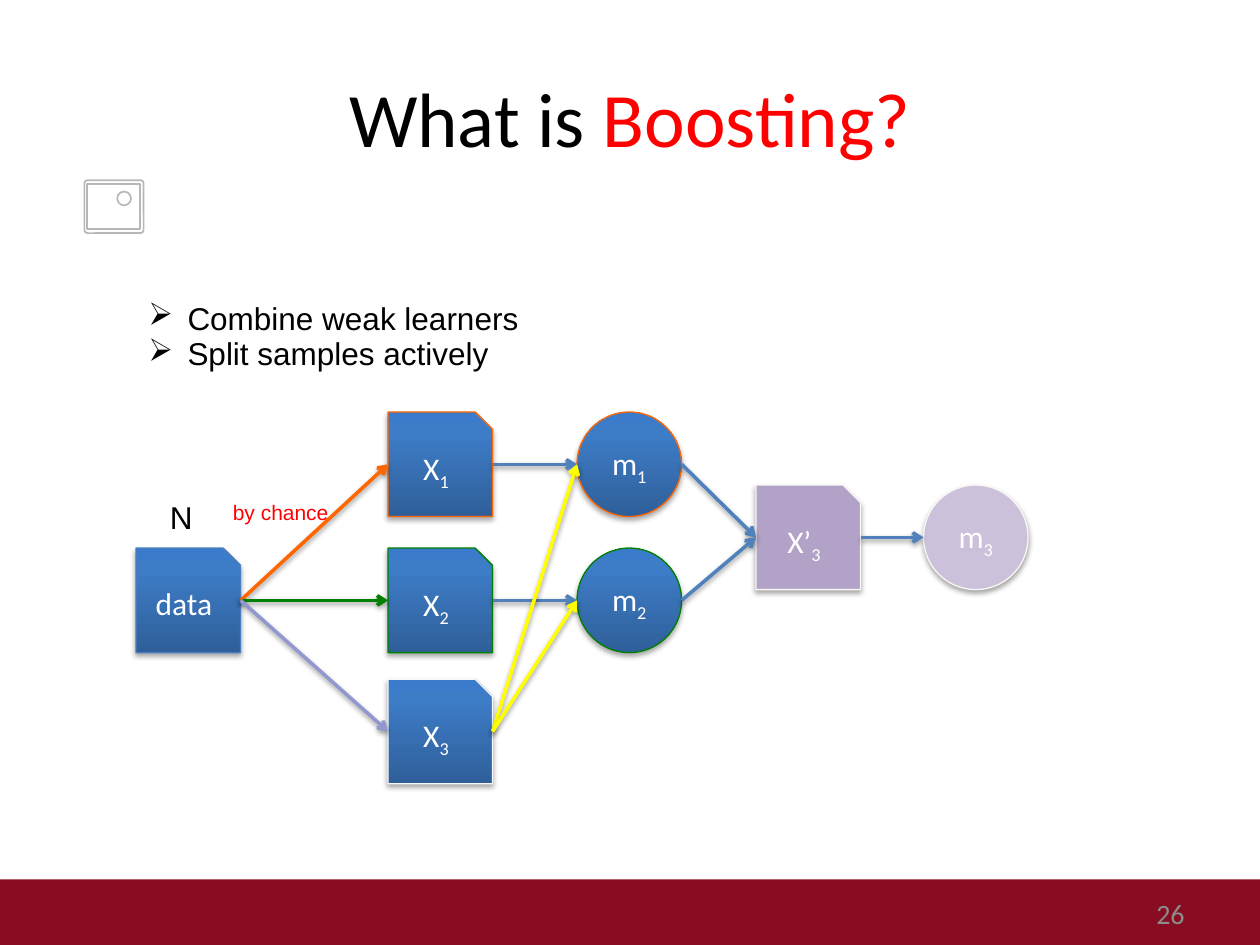
from lxml import etree
from pptx import Presentation
from pptx.dml.color import RGBColor
from pptx.enum.shapes import MSO_CONNECTOR, MSO_SHAPE
from pptx.enum.text import MSO_ANCHOR, PP_ALIGN
from pptx.oxml import parse_xml
from pptx.oxml.ns import qn
from pptx.util import Inches, Pt

RECTANGLE, ROUNDED = MSO_SHAPE.RECTANGLE, MSO_SHAPE.ROUNDED_RECTANGLE
SNIPPED, CIRCLE = MSO_SHAPE.SNIP_1_RECTANGLE, MSO_SHAPE.OVAL
LEFT, CENTER, RIGHT = PP_ALIGN.LEFT, PP_ALIGN.CENTER, PP_ALIGN.RIGHT
TOP, MIDDLE = MSO_ANCHOR.TOP, MSO_ANCHOR.MIDDLE
DRAWING_NS = "http://schemas.openxmlformats.org/drawingml/2006/main"

WIDTH, HEIGHT = 10, 7.5
NODE_SIZE = 0.83
LINE_SPACING = 0.93
BLUE_STOPS = [(0, "2F5F99"), (80, "3D7CC7"), (100, "3A7CCB")]
ORANGE, GREEN, BLUE, YELLOW = "FF6600", "008000", "4F81BD", "FFFF00"
LAVENDER, IVORY, GREY = "9297CF", "F8F7F3", "B7B7B7"
BLACK, WHITE, RED = "000000", "FFFFFF", "FF0000"

# Diagram grid: left edges of the columns, top edges of the rows
COLUMNS = {"data": 1.08, "sample": 3.08, "model": 4.58, "mixed": 6, "final": 7.33}
ROWS = {"first": 3.27, "between": 3.85, "second": 4.35, "third": 5.39}

# name: column, row, shape, fill (None is the blue gradient), outline, text, subscript
NODES = {
    "data": ("data", "second", SNIPPED, None, "4B7EBC", "data", ""),
    "X1": ("sample", "first", SNIPPED, None, ORANGE, "X", "1"),
    "X2": ("sample", "second", SNIPPED, None, GREEN, "X", "2"),
    "X3": ("sample", "third", SNIPPED, None, IVORY, "X", "3"),
    "m1": ("model", "first", CIRCLE, None, ORANGE, "m", "1"),
    "m2": ("model", "second", CIRCLE, None, GREEN, "m", "2"),
    "mixed": ("mixed", "between", SNIPPED, "B3A2C7", IVORY, "X’", "3"),
    "m3": ("final", "between", CIRCLE, "CCC1DA", IVORY, "m", "3"),
}
ARROWS = [
    ("data", "X1", ORANGE), ("data", "X2", GREEN), ("data", "X3", LAVENDER),
    ("X1", "m1", BLUE), ("X2", "m2", BLUE),
    ("X3", "m1", YELLOW), ("X3", "m2", YELLOW),
    ("m1", "mixed", BLUE), ("m2", "mixed", BLUE), ("mixed", "m3", BLUE),
]
BULLETS = ["Combine weak learners", "Split samples actively"]

# Image icon: outlined shapes and open mountain lines
ICON_SHAPES = [
    (ROUNDED, 0.67, 1.43, 0.47, 0.42),
    (RECTANGLE, 0.69, 1.46, 0.42, 0.36),
    (CIRCLE, 0.93, 1.52, 0.11, 0.11),
]
ICON_LINES = [
    [(0.92, 1.73), (0.97, 1.68), (0.98, 1.67), (0.99, 1.68), (1.09, 1.8)],
    [(0.72, 1.71), (0.8, 1.6), (0.81, 1.6), (0.82, 1.6), (0.97, 1.8)],
]


def color(hex_string):
    return RGBColor.from_string(hex_string)


def set_line(shape, hex_string, points):
    shape.line.color.rgb = color(hex_string)
    shape.line.width = Pt(points)


def add_shadow(shape, opacity, distance):
    properties = shape._element.spPr
    for old in properties.findall(qn("a:effectLst")):
        properties.remove(old)
    properties.append(parse_xml(
        f'<a:effectLst xmlns:a="{DRAWING_NS}"><a:outerShdw blurRad="{Pt(3.1)}" '
        f'dist="{Pt(distance)}" dir="5400000" rotWithShape="0"><a:srgbClr val="{BLACK}">'
        f'<a:alpha val="{opacity * 1000}"/></a:srgbClr></a:outerShdw></a:effectLst>'))


def add_gradient(shape, stops):
    marks = "".join(f'<a:gs pos="{share * 1000}"><a:srgbClr val="{value}"/></a:gs>'
                    for share, value in stops)
    shape._element.spPr.find(qn("a:ln")).addprevious(parse_xml(
        f'<a:gradFill xmlns:a="{DRAWING_NS}" rotWithShape="1"><a:gsLst>{marks}</a:gsLst>'
        '<a:lin ang="16200000" scaled="0"/></a:gradFill>'))


def write_runs(paragraph, runs, size, font, align=LEFT, spacing=None):
    paragraph.alignment = align
    paragraph.line_spacing = spacing
    for text, hex_string in runs:
        run = paragraph.add_run()
        run.text = text
        run.font.size = Pt(size)
        run.font.name = font
        run.font.color.rgb = color(hex_string)


def add_text(slide, box, lines, size, font, align=LEFT, anchor=TOP, spacing=None, wrap=True):
    frame = slide.shapes.add_textbox(*map(Inches, box)).text_frame
    frame.word_wrap = wrap
    frame.vertical_anchor = anchor
    for index, runs in enumerate(lines):
        paragraph = frame.add_paragraph() if index else frame.paragraphs[0]
        write_runs(paragraph, runs, size, font, align, spacing)
    return frame


def add_bullet(paragraph, character, indent):
    properties = paragraph._p.get_or_add_pPr()
    properties.set("marL", str(Inches(indent)))
    properties.set("indent", str(-Inches(indent)))
    etree.SubElement(properties, qn("a:buChar")).set("char", character)


def add_icon(slide):
    parts = [slide.shapes.add_shape(kind, *map(Inches, box)) for kind, *box in ICON_SHAPES]
    parts[0].adjustments[0] = 0.06
    for start, *rest in ICON_LINES:
        builder = slide.shapes.build_freeform(*start, scale=Inches(1))
        builder.add_line_segments(rest, close=False)
        parts.append(builder.convert_to_shape())
    for part in parts:
        part.fill.background()
        set_line(part, GREY, 0.96)
        part.shadow.inherit = False


def add_node(slide, column, row, kind, fill, outline, text, subscript):
    box = COLUMNS[column], ROWS[row], NODE_SIZE, NODE_SIZE
    shape = slide.shapes.add_shape(kind, *map(Inches, box))
    set_line(shape, outline, 0.75)
    if fill:
        shape.fill.solid()
        shape.fill.fore_color.rgb = color(fill)
    else:
        add_gradient(shape, BLUE_STOPS)
    add_shadow(shape, 35, 1.8)
    frame = shape.text_frame
    frame.vertical_anchor = MIDDLE
    runs = [(part, WHITE) for part in (text, subscript) if part]
    write_runs(frame.paragraphs[0], runs, 18, "Calibri", CENTER, LINE_SPACING)
    if subscript:
        frame.paragraphs[0].runs[1].font._element.set("baseline", "-25000")


def add_arrow(slide, source, target, hex_string):
    (start_column, start_row), (end_column, end_row) = NODES[source][:2], NODES[target][:2]
    half = NODE_SIZE / 2
    ends = (COLUMNS[start_column] + NODE_SIZE, ROWS[start_row] + half,
            COLUMNS[end_column], ROWS[end_row] + half)
    arrow = slide.shapes.add_connector(MSO_CONNECTOR.STRAIGHT, *map(Inches, ends))
    set_line(arrow, hex_string, 2)
    etree.SubElement(arrow.line._get_or_add_ln(), qn("a:tailEnd")).set("type", "arrow")
    add_shadow(arrow, 38, 1.6)


def main():
    presentation = Presentation()
    presentation.slide_width, presentation.slide_height = Inches(WIDTH), Inches(HEIGHT)
    slide = presentation.slides.add_slide(presentation.slide_layouts[6])

    # Footer band, title and slide number
    band = slide.shapes.add_shape(RECTANGLE, 0, Inches(6.98), Inches(WIDTH), Inches(0.52))
    band.fill.solid()
    band.fill.fore_color.rgb = color("890D22")
    band.line.fill.background()
    band.shadow.inherit = False
    add_text(slide, (0.5, 0.3, 9, 1.25), [[("What is ", BLACK), ("Boosting?", RED)]],
             44, "Calibri", CENTER, MIDDLE)
    add_text(slide, (7.17, 7.05, 2.33, 0.4), [[("26", "8C8C8C")]],
             16, "Calibri", RIGHT, MIDDLE)
    add_icon(slide)

    # Bullet list
    frame = add_text(slide, (1.08, 2.35, 3.68, 0.66), [[(text, BLACK)] for text in BULLETS],
                     18, "Arial", spacing=LINE_SPACING)
    for paragraph in frame.paragraphs:
        add_bullet(paragraph, "➢", 0.31)

    # Diagram
    for node in NODES.values():
        add_node(slide, *node)
    for arrow in ARROWS:
        add_arrow(slide, *arrow)
    add_text(slide, (1.25, 3.93, 0.38, 0.38), [[("N", BLACK)]],
             18, "Arial", spacing=LINE_SPACING, wrap=False)
    add_text(slide, (1.75, 3.93, 0.97, 0.29), [[("by chance", RED)]],
             12, "Arial", spacing=LINE_SPACING, wrap=False)

    presentation.save("out.pptx")


if __name__ == "__main__":
    main()
